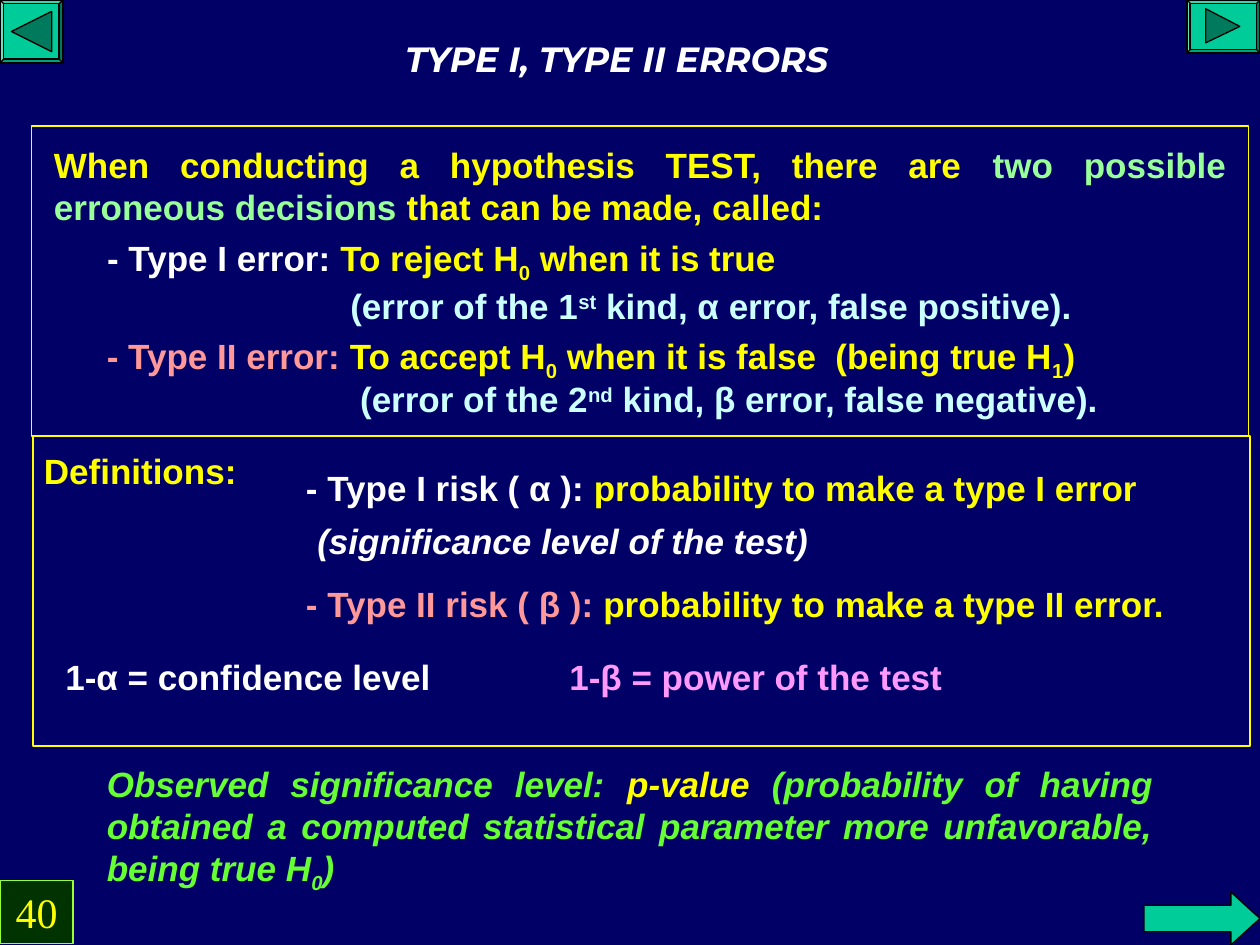
from dataclasses import dataclass

from lxml import etree
from pptx import Presentation
from pptx.dml.color import RGBColor
from pptx.enum import shapes, text
from pptx.oxml import ns
from pptx.util import Inches, Pt

NAVY = RGBColor(0x00, 0x00, 0x66)
TEAL = RGBColor(0x00, 0xCC, 0x99)
DARK_TEAL = RGBColor(0x00, 0x7A, 0x5C)
DARK_GREEN = RGBColor(0x00, 0x33, 0x00)
LIME = RGBColor(0x99, 0xFF, 0x33)
BLACK = RGBColor(0x00, 0x00, 0x00)
WHITE = RGBColor(0xFF, 0xFF, 0xFF)
YELLOW = RGBColor(0xFF, 0xFF, 0x00)
MINT = RGBColor(0x99, 0xFF, 0x99)
ICE = RGBColor(0xCC, 0xFF, 0xFF)
SALMON = RGBColor(0xFF, 0x99, 0x99)
PINK = RGBColor(0xFF, 0x99, 0xFF)
GREEN = RGBColor(0x66, 0xFF, 0x33)

LEFT, CENTER, JUSTIFY = (text.PP_ALIGN.LEFT, text.PP_ALIGN.CENTER,
                         text.PP_ALIGN.JUSTIFY)
SUB, SUPER = -25, 30


@dataclass
class Run:
    text: str
    color: RGBColor
    baseline: int = 0


@dataclass
class Line:
    runs: list[Run]
    indent: float = 0
    spacing: float = 1.0


@dataclass
class Block:
    box: tuple[float, float, float, float]
    lines: list[Line]
    align: int = JUSTIFY
    italic: bool = False


def inches(box):
    return [Inches(value) for value in box]


def place(shape, box):
    shape.left, shape.top, shape.width, shape.height = inches(box)


def write(shape, lines: list[Line], *, align=JUSTIFY, font="Arial", size=20,
          bold=True, italic=False, wrap=True) -> None:
    frame = shape.text_frame
    frame.word_wrap = wrap
    frame.auto_size = text.MSO_AUTO_SIZE.NONE
    frame.vertical_anchor = text.MSO_ANCHOR.TOP
    for index, line in enumerate(lines):
        paragraph = frame.add_paragraph() if index else frame.paragraphs[0]
        props = paragraph._p.get_or_add_pPr()
        props.set("marL", str(Inches(line.indent)))
        props.set("indent", "0")
        etree.SubElement(props, ns.qn("a:buNone"))
        paragraph.alignment = align
        paragraph.line_spacing = line.spacing
        paragraph.space_before = Pt(12.5 if index else 0)
        for part in line.runs:
            run = paragraph.add_run()
            run.text = part.text
            run.font.name, run.font.size = font, Pt(size)
            run.font.bold, run.font.italic = bold, italic
            run.font.color.rgb = part.color
            if part.baseline:
                run.font._element.set("baseline", str(part.baseline * 1000))


def style(shape, fill, line, width=0.75):
    shape.shadow.inherit = False
    if fill is None:
        shape.fill.background()
    else:
        shape.fill.solid()
        shape.fill.fore_color.rgb = fill
    shape.line.color.rgb = line
    shape.line.width = Pt(width)


def add_preset(slide, kind, box, fill, line, width=0.75):
    shape = slide.shapes.add_shape(kind, *inches(box))
    style(shape, fill, line, width)
    return shape


def add_nav_button(slide, box, triangle) -> None:
    bevel = add_preset(slide, shapes.MSO_SHAPE.BEVEL, box, TEAL, BLACK)
    bevel.adjustments[0] = 0.06
    start, *others = [(Inches(x), Inches(y)) for x, y in triangle]
    builder = slide.shapes.build_freeform(*start, scale=1.0)
    builder.add_line_segments(others, close=True)
    style(builder.convert_to_shape(), DARK_TEAL, BLACK)


TITLE = [Line([Run("TYPE I, TYPE II ERRORS", WHITE)])]

TYPE_I_ERROR = Block((0.75, 1.83, 8.92, 0.79), [
    Line([Run("- Type I error: ", WHITE), Run("To reject H", YELLOW),
          Run("0", YELLOW, SUB), Run(" when it is true", YELLOW)]),
    Line([Run("(error of the 1", ICE), Run("st", ICE, SUPER),
          Run(" kind, α error, false positive).", ICE)], 1.93, 0.4),
], LEFT)

BLOCKS = [
    # Erroneous decisions
    Block((0.33, 1.09, 9.5, 0.77), [Line([
        Run("When conducting a hypothesis TEST, there are ", YELLOW),
        Run("two possible erroneous decisions", MINT),
        Run(" that can be made, called:", YELLOW)])]),
    Block((0.75, 2.73, 8.83, 0.63), [
        Line([Run("- Type II error: ", SALMON), Run("To accept H", YELLOW),
              Run("0", YELLOW, SUB),
              Run(" when it is false  (being true H", YELLOW),
              Run("1", YELLOW, SUB), Run(")", YELLOW)], spacing=0.5),
        Line([Run("(error of the 2", ICE), Run("nd", ICE, SUPER),
              Run(" kind, β error, false negative).", ICE)], 2.01, 0.5),
    ], LEFT),
    # Definitions
    Block((0.25, 3.52, 2.25, 0.44), [Line([Run("Definitions:", YELLOW)])]),
    Block((2.33, 3.65, 7.08, 0.44), [Line([
        Run("- Type I risk ( α ): ", WHITE),
        Run("probability to make a type I error", YELLOW)])]),
    Block((2.42, 4.07, 5.42, 0.44), [Line([
        Run("(significance level of the test)", WHITE)])], italic=True),
    Block((2.33, 4.57, 7.33, 0.44), [Line([
        Run("- Type II risk ( β ): ", SALMON),
        Run("probability to make a type II error.", YELLOW)])]),
    Block((0.42, 5.15, 3.75, 0.44),
          [Line([Run("1-α = confidence level", WHITE)])]),
    Block((4.42, 5.15, 4.42, 0.44),
          [Line([Run("1-β = power of the test", PINK)])]),
    # Observed significance
    Block((0.75, 6, 8.5, 1.15), [Line([
        Run("Observed significance level: ", GREEN), Run("p-value", YELLOW),
        Run(" (probability of having obtained a computed statistical "
            "parameter more unfavorable, being true H", GREEN),
        Run("0", GREEN, SUB), Run(")", GREEN)])], italic=True),
]


def main() -> None:
    deck = Presentation()
    deck.slide_width, deck.slide_height = Inches(10), Inches(7.5)
    slide = deck.slides.add_slide(deck.slide_layouts[1])
    slide.background.fill.solid()
    slide.background.fill.fore_color.rgb = NAVY

    # Navigation and page number
    add_nav_button(slide, (9.42, 0, 0.58, 0.42),
                   [(9.57, 0.07), (9.84, 0.21), (9.57, 0.34)])
    add_nav_button(slide, (0, 0, 0.5, 0.5),
                   [(0.09, 0.25), (0.41, 0.09), (0.41, 0.41)])
    next_arrow = add_preset(slide, shapes.MSO_SHAPE.RIGHT_ARROW,
                            (9.08, 7.08, 0.92, 0.42), TEAL, BLACK)
    next_arrow.adjustments[1] = 0.55
    page_number = add_preset(slide, shapes.MSO_SHAPE.RECTANGLE,
                             (0, 6.99, 0.58, 0.5), DARK_GREEN, LIME)
    write(page_number, [Line([Run("40", YELLOW)])], align=CENTER,
          font="Times New Roman", size=24, bold=False)

    # Title and first error type
    title, body = slide.placeholders
    place(title, (0.92, 0.25, 7.95, 0.71))
    write(title, TITLE, align=CENTER, font="Montserrat", italic=True,
          wrap=False)
    place(body, TYPE_I_ERROR.box)
    write(body, TYPE_I_ERROR.lines, align=TYPE_I_ERROR.align)

    # Frames and remaining text
    for frame_box in ((0.25, 1, 9.66, 2.46), (0.26, 3.46, 9.66, 2.46)):
        add_preset(slide, shapes.MSO_SHAPE.RECTANGLE, frame_box, None,
                   YELLOW, 1)
    for block in BLOCKS:
        write(slide.shapes.add_textbox(*inches(block.box)), block.lines,
              align=block.align, italic=block.italic)

    deck.save("out.pptx")


if __name__ == "__main__":
    main()
